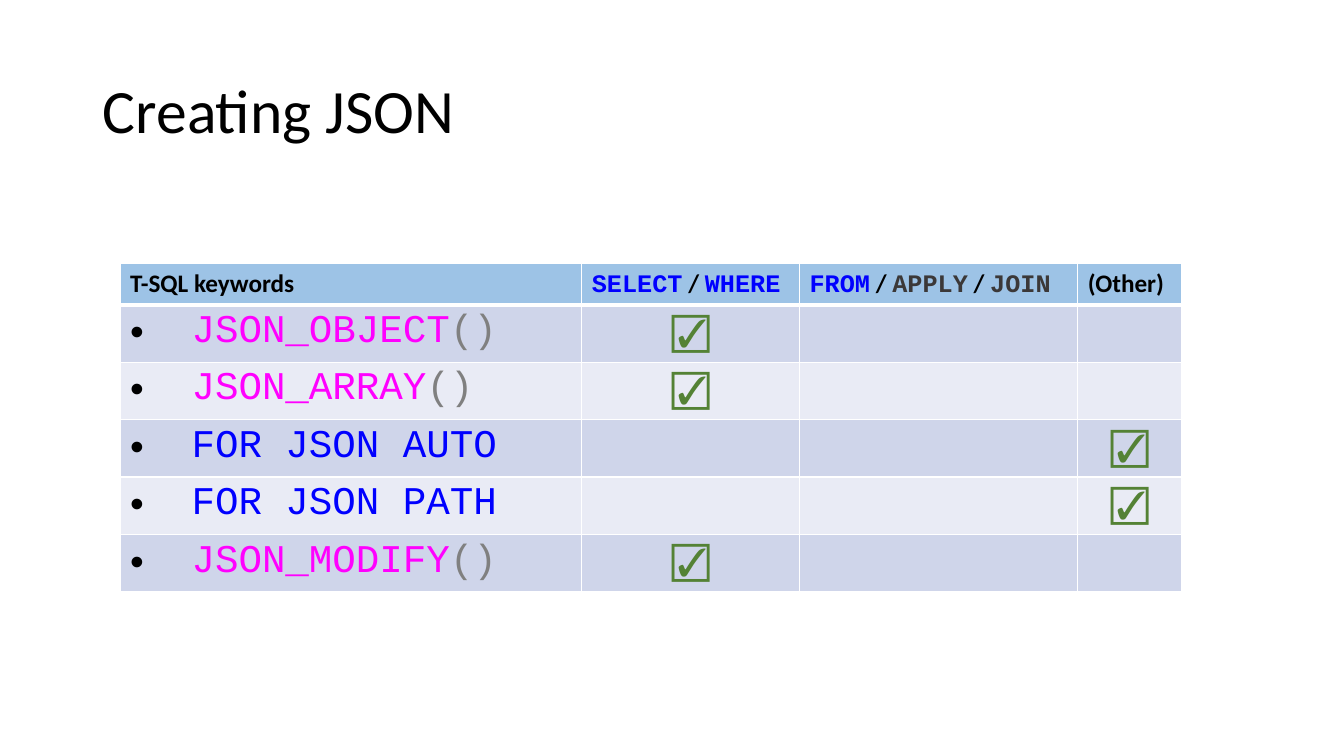
from dataclasses import dataclass

from lxml.etree import SubElement
from pptx import Presentation
from pptx.dml.color import RGBColor
from pptx.enum.text import MSO_ANCHOR, PP_ALIGN
from pptx.oxml.ns import qn
from pptx.util import Inches, Pt

HUES = {
    "black": "000000", "white": "FFFFFF", "blue": "0000FF", "pink": "FF00FF",
    "gray": "808080", "dark": "3B3838", "green": "548235",
    "head": "9DC3E6", "odd": "CFD5EA", "even": "E9EBF5",
}
CODE, SANS, MARK = "Courier New", "Calibri", "Arial"


@dataclass
class Run:
    text: str
    hue: str = "black"
    font: str = CODE


@dataclass
class Row:
    runs: list[Run]
    tick: int


SLASH = Run(" / ", font=SANS)
HEADS = [
    [Run("T-SQL keywords", font=SANS)],
    [Run("SELECT", "blue"), SLASH, Run("WHERE", "blue")],
    [Run("FROM", "blue"), SLASH, Run("APPLY", "dark"), SLASH, Run("JOIN", "dark")],
    [Run("(Other)", font=SANS)],
]
CALL = Run("()", "gray")
ROWS = [
    Row([Run("JSON_OBJECT", "pink"), CALL], 1),
    Row([Run("JSON_ARRAY", "pink"), CALL], 1),
    Row([Run("FOR JSON AUTO", "blue")], 3),
    Row([Run("FOR JSON PATH", "blue")], 3),
    Row([Run("JSON_MODIFY", "pink"), CALL], 1),
]
WIDTHS = [4.58, 2.16, 2.76, 1.03]
HEAD_H, ROW_H = 0.41, 0.57


def write(para, runs: list[Run], size: int, bold: bool = False) -> None:
    for item in runs:
        run = para.add_run()
        run.text = item.text
        run.font.name = item.font
        run.font.size = Pt(size)
        run.font.bold = bold
        run.font.color.rgb = RGBColor.from_string(HUES[item.hue])


def bullet(para) -> None:
    props = para._p.get_or_add_pPr()
    props.set("marL", str(Inches(0.61)))
    props.set("indent", str(-Inches(0.61)))
    tint = SubElement(props, qn("a:buClr"))
    SubElement(tint, qn("a:srgbClr"), val=HUES["black"])
    SubElement(props, qn("a:buFont"), typeface=MARK)
    SubElement(props, qn("a:buChar"), char="•")


def dress(cell, hue: str, top: int, base: int) -> None:
    props = cell._tc.get_or_add_tcPr()
    for side, width in (("L", 1), ("R", 1), ("T", top), ("B", base)):
        line = SubElement(props, qn(f"a:ln{side}"), w=str(Pt(width)))
        fill = SubElement(line, qn("a:solidFill"))
        SubElement(fill, qn("a:srgbClr"), val=HUES["white"])
    cell.fill.solid()
    cell.fill.fore_color.rgb = RGBColor.from_string(HUES[hue])


def add_grid(slide) -> None:
    high = HEAD_H + ROW_H * len(ROWS)
    grid = slide.shapes.add_table(
        len(ROWS) + 1, len(WIDTHS), Inches(1.19), Inches(2.61),
        Inches(sum(WIDTHS)), Inches(high)).table
    for col, width in zip(grid.columns, WIDTHS):
        col.width = Inches(width)
    for num, line in enumerate(grid.rows):
        line.height = Inches(ROW_H if num else HEAD_H)
    for col, runs in enumerate(HEADS):
        cell = grid.cell(0, col)
        dress(cell, "head", 1, 3)
        write(cell.text_frame.paragraphs[0], runs, 18, True)
    for num, row in enumerate(ROWS, 1):
        for col in range(len(WIDTHS)):
            dress(grid.cell(num, col), "odd" if num % 2 else "even",
                  3 if num == 1 else 1, 1)
        para = grid.cell(num, 0).text_frame.paragraphs[0]
        bullet(para)
        write(para, row.runs, 28)
        para = grid.cell(num, row.tick).text_frame.paragraphs[0]
        para.alignment = PP_ALIGN.CENTER
        write(para, [Run("☑", "green", MARK)], 28)


def add_title(slide) -> None:
    title = slide.shapes.title
    title.left, title.top = Inches(0.92), Inches(0.4)
    title.width, title.height = Inches(11.5), Inches(1.45)
    title.text_frame.vertical_anchor = MSO_ANCHOR.MIDDLE
    para = title.text_frame.paragraphs[0]
    para.alignment = PP_ALIGN.LEFT
    para.line_spacing = 0.9
    write(para, [Run("Creating JSON", font=SANS)], 44)


def main() -> None:
    """Build the slide on ways of creating JSON and save it."""
    deck = Presentation()
    deck.slide_width, deck.slide_height = Inches(13.33), Inches(7.5)
    slide = deck.slides.add_slide(deck.slide_layouts[5])
    add_title(slide)
    add_grid(slide)
    deck.save("out.pptx")


if __name__ == "__main__":
    main()
